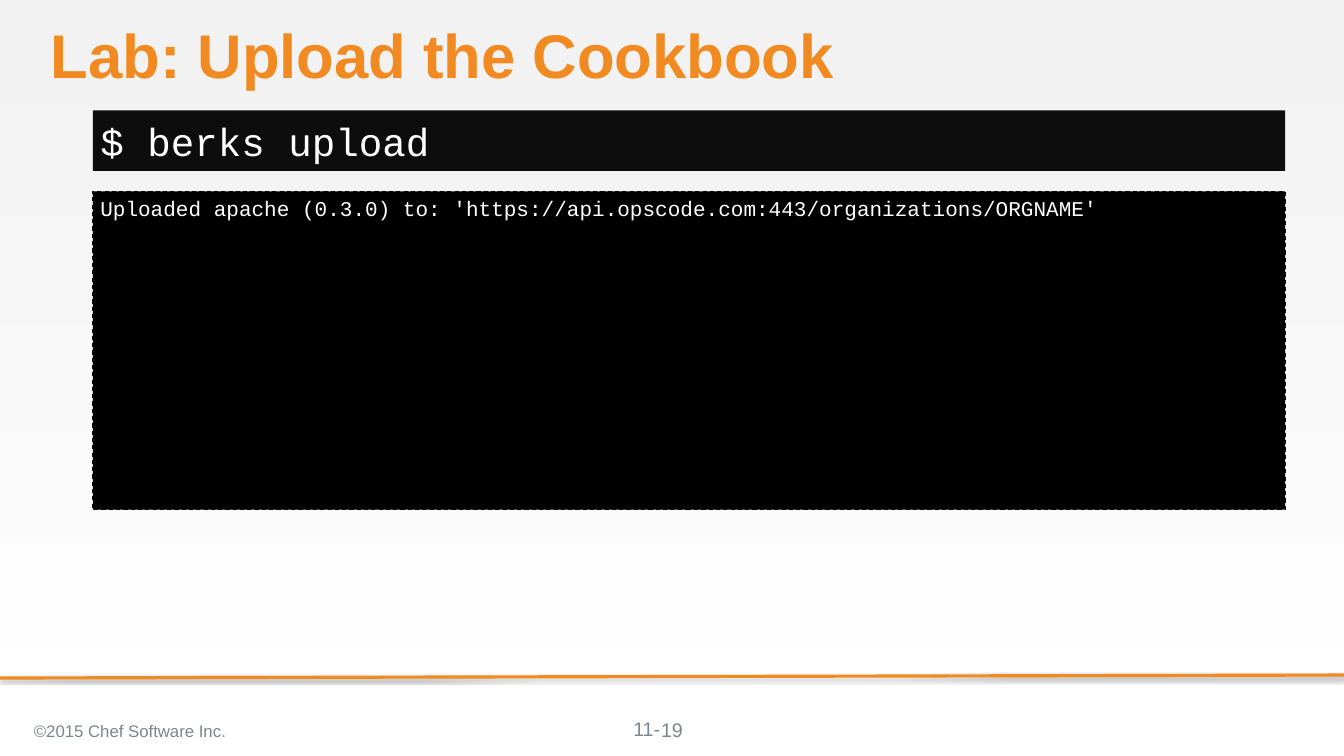
from lxml.etree import SubElement
from pptx import Presentation
from pptx.dml.color import RGBColor
from pptx.enum.dml import MSO_LINE
from pptx.enum.shapes import MSO_CONNECTOR
from pptx.enum.text import MSO_ANCHOR, MSO_AUTO_SIZE, PP_ALIGN
from pptx.oxml.ns import qn
from pptx.util import Cm, Pt

COLORS = {
    "orange": "F18B21", "black": "000000", "prompt": "0D0D0D",
    "white": "FFFFFF", "pale": "F2F2F2", "grey": "7D868C", "stop": "929494",
}
WIDTH, HEIGHT = 45.16, 25.4
LEFT, CONSOLE_WIDTH = 3.12, 40.06
PAD = (0.25, 0.13, 0.25, 0.13)
NO_PAD = (0, 0, 0, 0)

TITLE = "Lab: Upload the Cookbook"
COMMAND = "$ berks upload"
OUTPUT = "Uploaded apache (0.3.0) to: 'https://api.opscode.com:443/organizations/ORGNAME'"
FOOTERS = [
    ((0.89, 23.83, 15.77, 1.42), PAD, MSO_ANCHOR.MIDDLE, PP_ALIGN.LEFT, 16,
     [("©2015 Chef Software Inc", "grey"), (".", "stop")]),
    ((21.28, 24.1, 1.93, 0.79), NO_PAD, MSO_ANCHOR.TOP, PP_ALIGN.LEFT, 18.7,
     [("11-", "grey")]),
    ((17.5, 23.83, 10.16, 1.35), PAD, MSO_ANCHOR.MIDDLE, PP_ALIGN.CENTER, 18.7,
     [("19", "grey")]),
]


def rgb(name):
    return RGBColor.from_string(COLORS[name])


def place(sp, box):
    sp.left, sp.top, sp.width, sp.height = map(Cm, box)


def write(sp, runs, size, font="Arial", pad=PAD, anchor=MSO_ANCHOR.TOP,
          align=PP_ALIGN.LEFT, bold=False):
    tf = sp.text_frame
    tf.word_wrap = True
    tf.auto_size = MSO_AUTO_SIZE.NONE
    tf.vertical_anchor = anchor
    tf.margin_left, tf.margin_top, tf.margin_right, tf.margin_bottom = map(Cm, pad)
    p = tf.paragraphs[0]
    p.alignment = align
    p.space_before = Pt(0)
    for text, color in runs:
        r = p.add_run()
        r.text = text
        r.font.name = font
        r.font.size = Pt(size)
        r.font.bold = bold
        r.font.color.rgb = rgb(color)
    return p


def console(sp, top, height, fill, text, size, **style):
    place(sp, (LEFT, top, CONSOLE_WIDTH, height))
    sp.fill.solid()
    sp.fill.fore_color.rgb = rgb(fill)
    p = write(sp, [(text, "white")], size, font="Courier New", **style)
    pPr = p._p.get_or_add_pPr()
    pPr.set("marL", "0")
    pPr.set("indent", "0")
    SubElement(pPr, qn("a:buNone"))


def add_rule(s):
    line = s.shapes.add_connector(
        MSO_CONNECTOR.STRAIGHT, Cm(WIDTH), Cm(22.68), Cm(0), Cm(22.78))
    line.line.color.rgb = rgb("orange")
    line.line.width = Pt(3)
    effects = SubElement(line._element.spPr, qn("a:effectLst"))
    shadow = SubElement(effects, qn("a:outerShdw"), blurRad="40000",
                        dist="23000", dir="5400000", rotWithShape="0")
    color = SubElement(shadow, qn("a:srgbClr"), val=COLORS["black"])
    SubElement(color, qn("a:alpha"), val="35000")


def main():
    prs = Presentation()
    prs.slide_width, prs.slide_height = Cm(WIDTH), Cm(HEIGHT)
    s = prs.slides.add_slide(prs.slide_layouts[3])

    fill = s.background.fill
    fill.gradient()
    fill.gradient_angle = 270
    for stop, name, position in zip(fill.gradient_stops, ("pale", "white"), (0, 1)):
        stop.color.rgb = rgb(name)
        stop.position = position

    add_rule(s)
    title, command, output = s.placeholders
    place(title, (1.7, 0.84, 41.48, 2.31))
    p = write(title, [(TITLE, "orange")], 58.7, pad=NO_PAD, bold=True)
    p.line_spacing = 0.9

    console(command, 3.71, 2.03, "prompt", COMMAND, 37.3,
            pad=(0.25, 0, 0, 0), anchor=MSO_ANCHOR.MIDDLE)
    console(output, 6.43, 10.69, "black", OUTPUT, 20)
    output.line.color.rgb = rgb("black")
    output.line.width = Pt(1)
    output.line.dash_style = MSO_LINE.DASH

    for box, pad, anchor, align, size, runs in FOOTERS:
        sp = s.shapes.add_textbox(*map(Cm, box))
        write(sp, runs, size, pad=pad, anchor=anchor, align=align)

    prs.save("out.pptx")


if __name__ == "__main__":
    main()
